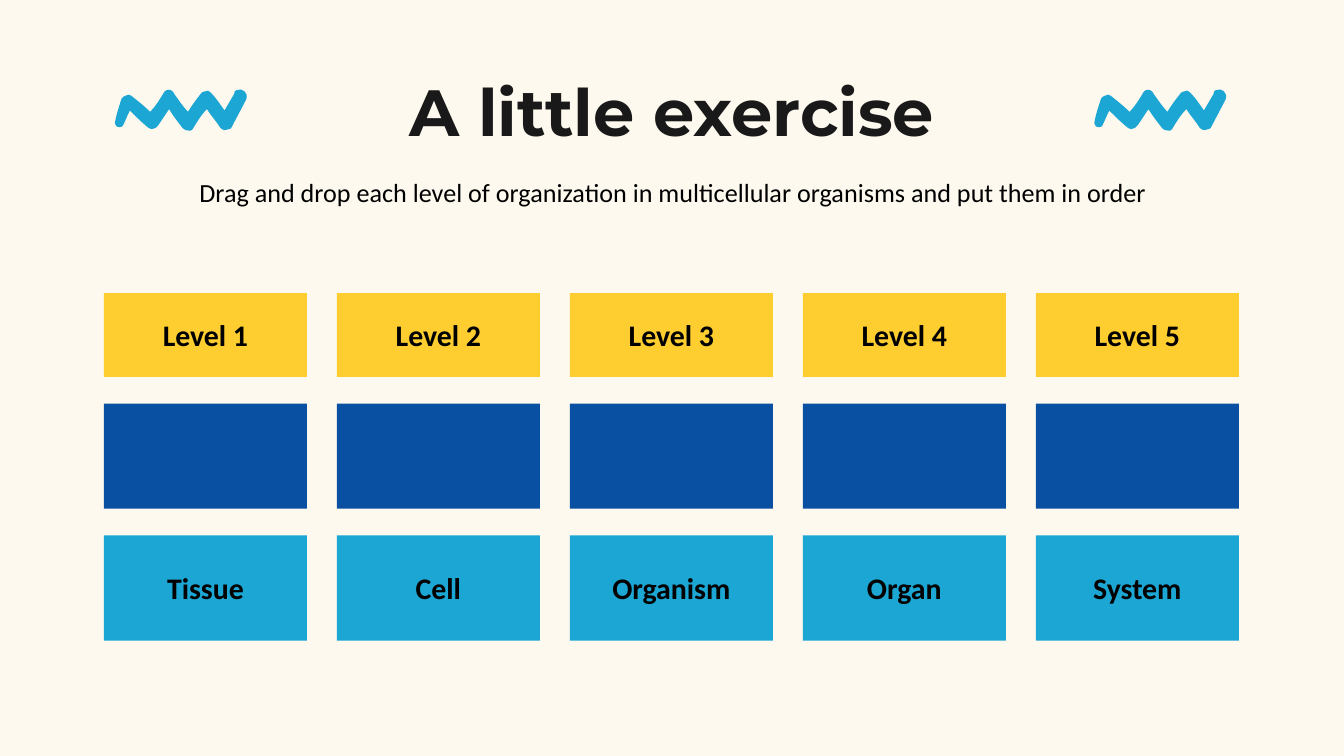
from dataclasses import dataclass
from math import cos, radians, sin

from pptx import Presentation
from pptx.dml.color import RGBColor
from pptx.enum.shapes import MSO_SHAPE
from pptx.enum.text import MSO_ANCHOR, PP_ALIGN
from pptx.oxml.ns import qn
from pptx.util import Pt


@dataclass(frozen=True)
class Theme:
    """Colours, fonts and type sizes of the slide."""
    cream: str = "FDF9EE"
    yellow: str = "FECE30"
    navy: str = "094FA2"
    sky: str = "1CA6D3"
    ink: str = "191919"
    black: str = "000000"
    title_font: str = "Montserrat"
    body_font: str = "Calibri"
    title_size: float = 35
    body_size: float = 14
    card_size: float = 16


THEME = Theme()
CARD_LEFT, CARD_TOP, CARD_WIDTH = 55.7, 157, 108.8
COLUMN_GAP, ROW_GAP = 16, 14.2
CARD_ROWS = (
    (45, THEME.yellow, [f"Level {number}" for number in range(1, 6)]),
    (56.4, THEME.navy, [""] * 5),
    (56.4, THEME.sky, ["Tissue", "Cell", "Organism", "Organ", "System"]),
)
ZIGZAG_START = (9, 5)
ZIGZAG_SEGMENTS = (
    (8, 5, 7, 6, 6, 7), (4, 13, 2, 19, 1, 25), (1, 28, 4, 29, 6, 28),
    (7, 28, 7, 28, 7, 27), (9, 23, 10, 20, 12, 16), (16, 20, 21, 25, 26, 29),
    (27, 30, 29, 30, 31, 29), (31, 29, 32, 28, 33, 27), (41, 15),
    (44, 20, 48, 25, 51, 29), (53, 31, 55, 31, 57, 31), (58, 30, 59, 30, 59, 29),
    (62, 24, 65, 19, 69, 15), (72, 20, 76, 24, 79, 29), (81, 31, 83, 31, 85, 30),
    (86, 30, 87, 29, 87, 29), (98, 8), (100, 3, 95, -1, 91, 1),
    (90, 1, 89, 2, 89, 4), (82, 16), (79, 12, 76, 7, 72, 3),
    (71, 1, 69, 1, 67, 2), (66, 2, 65, 3, 65, 3), (61, 8, 58, 12, 55, 17),
    (51, 13, 48, 8, 45, 4), (44, 1, 41, 0, 39, 1), (38, 2, 37, 2, 37, 3),
    (34, 8, 31, 13, 27, 17), (23, 13, 18, 9, 13, 5), (12, 4, 10, 4, 9, 5),
)
ZIGZAG_CENTRE = (50.5, 16)
ZIGZAG_TILT = 25.1
ZIGZAG_WIDTH, ZIGZAG_HEIGHT = 72.7, 40.3
GRAIN = 100


def paint(shape, colour):
    """Give a shape a flat fill with no line or shadow."""
    shape.shadow.inherit = False
    shape.fill.solid()
    shape.fill.fore_color.rgb = RGBColor.from_string(colour)
    shape.line.fill.background()


def write(shape, text, font, size, colour, bold, anchor):
    """Put one centred paragraph into a shape."""
    frame = shape.text_frame
    frame.word_wrap = True
    frame.vertical_anchor = anchor
    frame.margin_left = frame.margin_right = Pt(7.2)
    frame.margin_top = frame.margin_bottom = Pt(7.2)
    para = frame.paragraphs[0]
    para.text = text
    para.alignment = PP_ALIGN.CENTER
    para.font.name = font
    para.font.size = Pt(size)
    para.font.bold = bold
    para.font.color.rgb = RGBColor.from_string(colour)


def add_text(page, left, top, width, height, *style):
    """Add a text box with one centred paragraph."""
    box = page.shapes.add_textbox(Pt(left), Pt(top), Pt(width), Pt(height))
    write(box, *style)


def add_card(page, left, top, height, colour, label):
    """Add one card of the grid, with its label if it has one."""
    card = page.shapes.add_shape(
        MSO_SHAPE.RECTANGLE, Pt(left), Pt(top), Pt(CARD_WIDTH), Pt(height))
    paint(card, colour)
    if label:
        write(card, label, THEME.body_font, THEME.card_size, THEME.black, True,
              MSO_ANCHOR.MIDDLE)


def add_grid(page):
    """Lay out the rows of cards."""
    top = CARD_TOP
    for height, colour, labels in CARD_ROWS:
        for column, label in enumerate(labels):
            left = CARD_LEFT + column * (CARD_WIDTH + COLUMN_GAP)
            add_card(page, left, top, height, colour, label)
        top += height + ROW_GAP


def untilt(point):
    """Turn a zigzag point back to where it lies before the shape is rotated."""
    angle = radians(ZIGZAG_TILT)
    x, y = (value - centre for value, centre in zip(point, ZIGZAG_CENTRE))
    return (GRAIN * (x * cos(angle) - y * sin(angle)),
            GRAIN * (x * sin(angle) + y * cos(angle)))


def bend(shape, segments):
    """Join the three points of each curved segment into one Bezier curve."""
    lines = iter(shape._element.findall(".//" + qn("a:lnTo")))
    for segment in segments:
        first, *others = [next(lines) for _ in range(len(segment) // 2)]
        if others:
            first.tag = qn("a:cubicBezTo")
        for other in others:
            first.append(other[0])
            other.getparent().remove(other)


def add_zigzag(page, left, top):
    """Draw one tilted zigzag squiggle."""
    points = [untilt(point) for segment in ZIGZAG_SEGMENTS
              for point in zip(segment[::2], segment[1::2])]
    builder = page.shapes.build_freeform(*untilt(ZIGZAG_START))
    builder.add_line_segments(points, close=True)
    zigzag = builder.convert_to_shape()
    bend(zigzag, ZIGZAG_SEGMENTS)
    zigzag.left, zigzag.top = Pt(left), Pt(top)
    zigzag.width, zigzag.height = Pt(ZIGZAG_WIDTH), Pt(ZIGZAG_HEIGHT)
    zigzag.rotation = -ZIGZAG_TILT
    paint(zigzag, THEME.sky)


def main():
    """Build the exercise slide and save it."""
    deck = Presentation()
    deck.slide_width, deck.slide_height = Pt(720), Pt(405)
    page = deck.slides.add_slide(deck.slide_layouts[6])
    page.background.fill.solid()
    page.background.fill.fore_color.rgb = RGBColor.from_string(THEME.cream)
    for left in (61.2, 585.9):
        add_zigzag(page, left, 38.9)
    add_text(page, 56.2, 42.1, 607.7, 45.4, "A little exercise",
             THEME.title_font, THEME.title_size, THEME.ink, True, MSO_ANCHOR.BOTTOM)
    add_grid(page)
    add_text(page, 56.9, 87.4, 607.7, 48.2,
             "Drag and drop each level of organization in multicellular organisms "
             "and put them in order",
             THEME.body_font, THEME.body_size, THEME.black, False, MSO_ANCHOR.TOP)
    deck.save("out.pptx")


if __name__ == "__main__":
    main()
